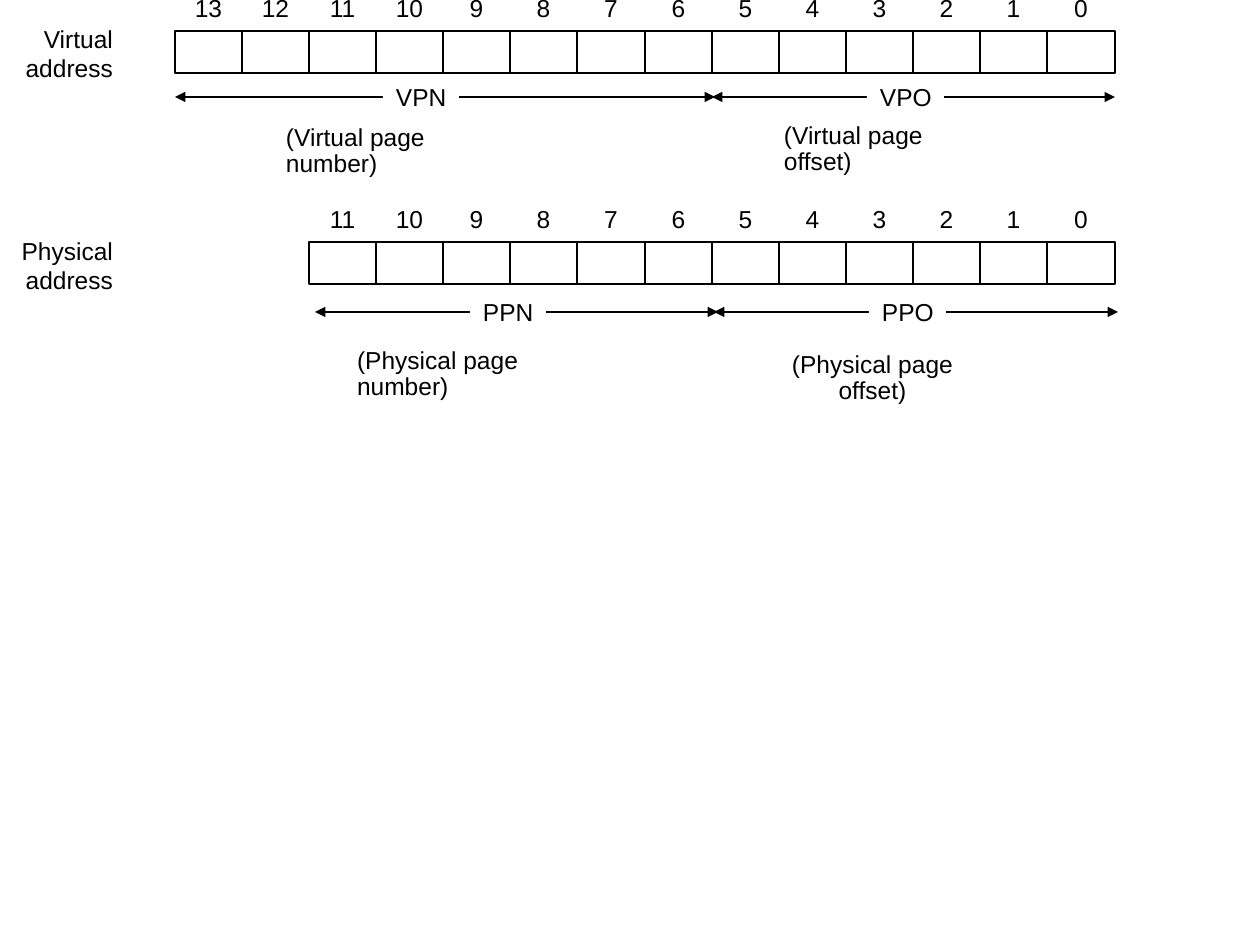
from dataclasses import dataclass

from lxml.etree import SubElement
from pptx import Presentation
from pptx.dml.color import RGBColor
from pptx.enum.shapes import MSO_CONNECTOR as Wire, MSO_SHAPE as Kind
from pptx.enum.text import MSO_ANCHOR as Anchor, PP_ALIGN as Align
from pptx.oxml.ns import qn
from pptx.util import Emu, Pt

SCALE = 914400 / 126
BLACK, WHITE = "000000", "FFFFFF"
BITS, LEFT, SPAN, HIGH = 14, 175, 940, 42


@dataclass
class Box:
    x: int
    y: int
    w: int
    h: int


@dataclass
class Note:
    text: str
    box: Box
    align: Align = Align.LEFT
    anchor: Anchor = Anchor.TOP
    space: float = 0.9
    left: int = 13
    right: int = 13
    wrap: bool = False


@dataclass
class Field:
    start: int
    end: int
    y: int
    tag: Note


def px(n: float) -> Emu:
    return Emu(round(n * SCALE))


def color(code: str) -> RGBColor:
    return RGBColor.from_string(code)


def place(box: Box) -> list[Emu]:
    return [px(n) for n in (box.x, box.y, box.w, box.h)]


def apply(item, form: dict) -> None:
    for name, value in form.items():
        setattr(item, name, value)


def write(frame, note: Note) -> None:
    apply(frame, {
        "word_wrap": note.wrap, "vertical_anchor": note.anchor,
        "margin_left": px(note.left), "margin_right": px(note.right),
        "margin_top": px(6), "margin_bottom": px(6),
    })
    frame.text = note.text
    for para in frame.paragraphs:
        apply(para, {"alignment": note.align, "line_spacing": note.space})
        apply(para.font, {"size": Pt(14), "name": "Arial"})
        para.font.color.rgb = color(BLACK)


def add_note(shapes, note: Note) -> None:
    write(shapes.add_textbox(*place(note.box)).text_frame, note)


def edge(col: int) -> int:
    """Left side of a bit column, counted from the highest bit."""
    return LEFT + SPAN * col // BITS


def add_bits(shapes, count: int, y: int) -> None:
    """Draw a row of numbered bit cells that ends at bit 0."""
    for bit in reversed(range(count)):
        col = BITS - 1 - bit
        x, wide = edge(col), edge(col + 1) - edge(col)
        group = shapes.add_group_shape().shapes
        cell = group.add_shape(Kind.RECTANGLE, *place(Box(x, y, wide, HIGH)))
        cell.shadow.inherit = False
        cell.fill.background()
        cell.line.color.rgb = color(BLACK)
        cell.line.width = Pt(0.75)
        add_note(group, Note(str(bit), Box(x, y - HIGH, wide, HIGH),
                             Align.CENTER, Anchor.MIDDLE))


def add_field(shapes, field: Field) -> None:
    """Draw a two-headed arrow with its tag on top."""
    ends = (field.start, field.y, field.end, field.y)
    wire = shapes.add_connector(Wire.STRAIGHT, *map(px, ends))
    wire.line.color.rgb = color(BLACK)
    wire.line.width = Pt(0.75)
    for end in ("a:headEnd", "a:tailEnd"):
        SubElement(wire.line._get_or_add_ln(), qn(end), type="triangle")
    SubElement(wire._element.spPr, qn("a:effectLst"))
    tag = shapes.add_shape(Kind.RECTANGLE, *place(field.tag.box))
    tag.shadow.inherit = False
    tag.fill.solid()
    tag.fill.fore_color.rgb = color(WHITE)
    tag.line.fill.background()
    write(tag.text_frame, field.tag)


def label(text: str, box: Box) -> Note:
    return Note(text, box, Align.RIGHT, Anchor.MIDDLE, 1.0, left=0, wrap=True)


ROWS = [(14, 31), (12, 242)]
FIELDS = [
    Field(712, 1115, 97, Note("VPO", Box(867, 79, 77, 39))),
    Field(714, 1118, 312, Note("PPO", Box(869, 294, 77, 39))),
    Field(315, 718, 312, Note("PPN", Box(470, 294, 76, 39))),
    Field(175, 715, 97, Note("VPN", Box(383, 79, 76, 39))),
]
NOTES = [
    Note("(Virtual page number)", Box(273, 119, 261, 39), right=90, wrap=True),
    Note("(Virtual page offset)", Box(771, 117, 238, 39), right=70, wrap=True),
    Note("(Physical page number)", Box(344, 342, 282, 39), right=90, wrap=True),
    Note("(Physical page offset)", Box(778, 346, 260, 39), Align.CENTER,
         right=84, wrap=True),
    label("Virtual\naddress", Box(14, 17, 112, 72)),
    label("Physical\naddress", Box(9, 229, 117, 72)),
]


def main() -> None:
    deck = Presentation()
    apply(deck, {"slide_width": px(1260), "slide_height": px(945)})
    shapes = deck.slides.add_slide(deck.slide_layouts[6]).shapes
    for count, y in ROWS:
        add_bits(shapes, count, y)
    for field in FIELDS:
        add_field(shapes, field)
    for note in NOTES:
        add_note(shapes, note)
    deck.save("out.pptx")


if __name__ == "__main__":
    main()
